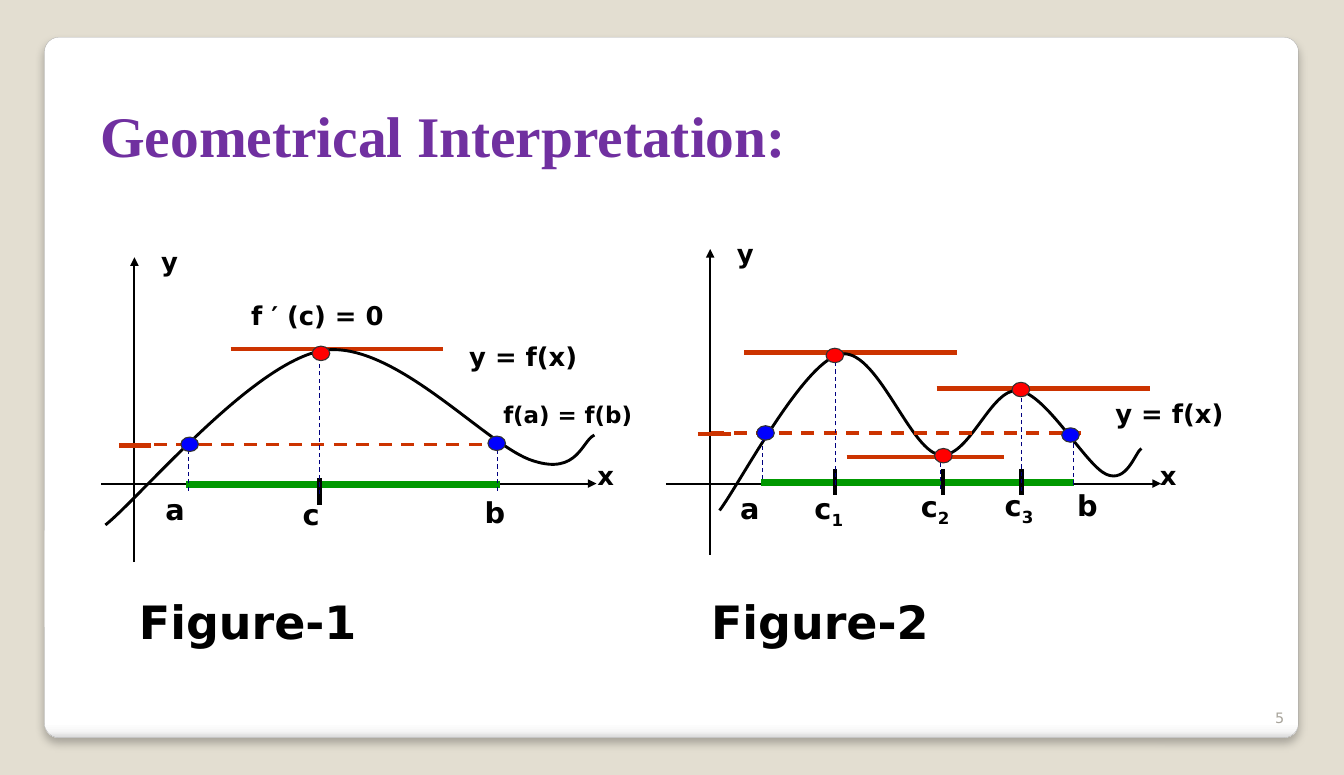
from dataclasses import dataclass

from pptx import Presentation
from pptx.dml.color import RGBColor
from pptx.enum import dml, shapes, text
from pptx.oxml import parse_xml
from pptx.oxml.ns import nsdecls, qn
from pptx.util import Inches, Pt


@dataclass(frozen=True)
class Theme:
    backdrop: str = "E3DED1"
    paper: str = "FFFFFF"
    edge: str = "A4A4A4"
    title: str = "7030A0"
    ink: str = "000000"
    number: str = "A8A49B"
    tangent: str = "CC3300"
    interval: str = "009900"
    drop: str = "000080"
    extremum: str = "FF0000"
    endpoint: str = "0000FF"
    outline: str = "323232"
    sans: str = "DejaVu Sans"
    serif: str = "Times New Roman"
    title_pt: int = 40
    caption_pt: int = 32
    point_pt: int = 20
    label_pt: int = 18
    note_pt: int = 16
    number_pt: int = 10


THEME = Theme()
DOT = (0.17, 0.14)

# Every place in a figure is in inches from the top left of its box.
ONE_EXTREMUM = {
    "x_axis": (0.08, 4.87, 2.48),
    "y_axis": (0.4, 3.24, 0.29),
    "tangents": [(1.33, 3.39, 1.18)],
    "interval": (0.9, 3.94, 2.49),
    "tick_span": (2.43, 2.69),
    "ticks": [2.19],
    "chord": (0.37, 3.96, 2.1),
    "level_mark": (0.25, 0.56, 2.11),
    "curve": [(0.12, 2.88), (0.47, 2.6), (1.55, 1.3), (2.23, 1.19),
              (2.92, 1.09), (3.82, 2.13), (4.26, 2.26),
              (4.69, 2.4), (4.73, 2.06), (4.85, 2.01)],
    "drops": [(2.19, 2.58, 1.21), (0.92, 2.55, 2.13), (3.91, 2.55, 2.13)],
    "extrema": [(2.12, 1.15)],
    "endpoints": [(0.85, 2.03), (3.82, 2.02)],
    "equation": (3.54, 1.05),
    "axis_names": [("y", 0.56, 0.13), ("x", 4.78, 2.2)],
    "points": [("a", "", 0.6, 2.51, 0.51), ("c", "", 1.93, 2.56, 1.26),
               ("b", "", 3.69, 2.54, 0.51)],
    "notes": [("f ′ (c) = 0", (1.43, 0.65, 1.56, 0.4), THEME.label_pt, False),
              ("f(a) = f(b)", (3.87, 1.63, 2.17, 0.37), THEME.note_pt, True)],
    "caption": (" Figure-1", (0.19, 3.5, 2.49, 0.64)),
}
THREE_EXTREMA = {
    "x_axis": (0.04, 4.83, 2.48),
    "y_axis": (0.47, 3.17, 0.21),
    "tangents": [(1.79, 3.31, 2.22), (2.66, 4.72, 1.56), (0.8, 2.86, 1.21)],
    "interval": (0.96, 3.99, 2.47),
    "tick_span": (2.34, 2.59),
    "ticks": [1.68, 2.72, 3.48],
    "chord": (0.48, 4.06, 1.99),
    "level_mark": (0.35, 0.67, 2.0),
    "curve": [(0.56, 2.74), (0.75, 2.49), (1.36, 1.32), (1.72, 1.23),
              (2.07, 1.14), (2.39, 2.14), (2.68, 2.2),
              (2.97, 2.26), (3.18, 1.55), (3.45, 1.58),
              (3.72, 1.61), (4.1, 2.3), (4.3, 2.39),
              (4.5, 2.48), (4.58, 2.18), (4.64, 2.14)],
    "drops": [(1.68, 2.49, 1.23), (2.7, 2.53, 2.26), (0.98, 2.44, 2.02),
              (3.98, 2.49, 2.07), (3.48, 2.55, 1.63)],
    "extrema": [(1.59, 1.17), (2.64, 2.14), (3.39, 1.5)],
    "endpoints": [(0.92, 1.92), (3.87, 1.94)],
    "equation": (4.29, 1.6),
    "axis_names": [("y", 0.63, 0.05), ("x", 4.72, 2.2)],
    "points": [("c", "1", 1.38, 2.5, 1.26), ("c", "2", 2.41, 2.48, 0.77),
               ("a", "", 0.66, 2.5, 0.51), ("b", "", 3.92, 2.47, 0.51),
               ("c", "3", 3.22, 2.47, 0.77)],
    "notes": [],
    "caption": ("Figure-2", (0.38, 3.5, 2.34, 0.64)),
}


def rgb(value):
    return RGBColor.from_string(value)


def paint(fill, color):
    fill.solid()
    fill.fore_color.rgb = rgb(color)


def stroke(line, color, width):
    line.color.rgb = rgb(color)
    line.width = Pt(width)


def write(frame, words, size, color=THEME.ink, name=THEME.sans, bold=True):
    run = frame.paragraphs[0].add_run()
    run.text = words
    for key, value in {"size": Pt(size), "name": name, "bold": bold}.items():
        setattr(run.font, key, value)
    run.font.color.rgb = rgb(color)
    return run


def add_label(slide, words, box, size, wrap=False):
    label = slide.shapes.add_textbox(*map(Inches, box))
    label.text_frame.word_wrap = wrap
    label.text_frame.auto_size = text.MSO_AUTO_SIZE.SHAPE_TO_FIT_TEXT
    write(label.text_frame, words, size)
    return label


def add_line(slide, start, end, color, width, dashed=False, arrow=False):
    line = slide.shapes.add_connector(
        shapes.MSO_CONNECTOR.STRAIGHT, *map(Inches, (*start, *end)))
    stroke(line.line, color, width)
    if dashed:
        line.line.dash_style = dml.MSO_LINE.DASH
    if arrow:
        line.line._get_or_add_ln().append(
            parse_xml(f'<a:tailEnd {nsdecls("a")} type="triangle"/>'))
    line.element.spPr.append(parse_xml(f'<a:effectLst {nsdecls("a")}/>'))


def add_curve(slide, knots):
    """Draw cubic curves: a start, then two handles and an end for each curve."""
    start, *rest = [tuple(map(Inches, knot)) for knot in knots]
    builder = slide.shapes.build_freeform(*start)
    builder.add_line_segments(rest, close=False)
    curve = builder.convert_to_shape()
    legs = list(curve.element.iter(qn("a:lnTo")))
    for first in range(0, len(legs), 3):
        cubic = parse_xml(f'<a:cubicBezTo {nsdecls("a")}/>')
        legs[first].addprevious(cubic)
        for leg in legs[first:first + 3]:
            cubic.append(leg[0])
            leg.getparent().remove(leg)
    curve.shadow.inherit = False
    curve.fill.background()
    stroke(curve.line, THEME.ink, 2)


def add_figure(slide, left, top, figure):
    def at(x, y, *size):
        return (left + x, top + y, *size)

    def level(span, color, width, **style):
        start, end, y = span
        add_line(slide, at(start, y), at(end, y), color, width, **style)

    def upright(x, start, end, color, width, **style):
        add_line(slide, at(x, start), at(x, end), color, width, **style)

    for tangent in figure["tangents"]:
        level(tangent, THEME.tangent, 3)
    level(figure["x_axis"], THEME.ink, 1.5, arrow=True)
    upright(*figure["y_axis"], THEME.ink, 1.5, arrow=True)
    for name, x, y in figure["axis_names"]:
        add_label(slide, name, at(x, y, 0.37, 0.4), THEME.label_pt)
    equation = add_label(slide, "y = f(x)", at(*figure["equation"], 1.31, 0.4),
                         THEME.label_pt)
    paint(equation.fill, THEME.paper)
    for name, index, x, y, width in figure["points"]:
        point = add_label(slide, name, at(x, y, width, 0.44), THEME.point_pt, wrap=True)
        if index:
            subscript = write(point.text_frame, index, THEME.point_pt)
            subscript._r.get_or_add_rPr().set("baseline", "-25000")

    level(figure["interval"], THEME.interval, 4.5)
    for x in figure["ticks"]:
        upright(x, *figure["tick_span"], THEME.ink, 3)
    add_curve(slide, [at(*knot) for knot in figure["curve"]])
    level(figure["chord"], THEME.tangent, 2.25, dashed=True)
    level(figure["level_mark"], THEME.tangent, 3)
    for drop in figure["drops"]:
        upright(*drop, THEME.drop, 0.75, dashed=True)
    for kind, color in (("extrema", THEME.extremum), ("endpoints", THEME.endpoint)):
        for corner in figure[kind]:
            dot = slide.shapes.add_shape(shapes.MSO_SHAPE.OVAL,
                                         *map(Inches, at(*corner, *DOT)))
            dot.shadow.inherit = False
            paint(dot.fill, color)
            stroke(dot.line, THEME.outline, 0.75)

    for words, box, size, wrap in figure["notes"]:
        add_label(slide, words, at(*box), size, wrap)
    caption, box = figure["caption"]
    add_label(slide, caption, at(*box), THEME.caption_pt)


def add_card(slide, box):
    """Lay the paper card on the slide master, behind everything."""
    card = slide.shapes.add_shape(shapes.MSO_SHAPE.ROUNDED_RECTANGLE, *map(Inches, box))
    card.adjustments[0] = 0.021
    stroke(card.line, THEME.edge, 0.16)
    stops = "".join(f'<a:gs pos="{pos}000"><a:srgbClr val="{color}"/></a:gs>' for pos, color in
                    ((0, THEME.paper), (98, THEME.paper), (99, "F7F7F7"), (100, "DADADA")))
    card.line._get_or_add_ln().addprevious(parse_xml(
        f'<a:gradFill {nsdecls("a")}><a:gsLst>{stops}</a:gsLst><a:lin ang="5400000"/></a:gradFill>'))
    card.element.spPr.append(parse_xml(
        f'<a:effectLst {nsdecls("a")}><a:outerShdw blurRad="{Pt(6)}" dist="{Pt(4)}" dir="5400000">'
        f'<a:srgbClr val="{THEME.ink}"><a:alpha val="25000"/></a:srgbClr>'
        '</a:outerShdw></a:effectLst>'))
    card.element.nvSpPr.cNvPr.set("id", "20")
    slide.slide_layout.slide_master.shapes[0].element.addprevious(card.element)


def add_title(slide, words, box):
    title = slide.shapes.title
    for key, value in zip(("left", "top", "width", "height"), box):
        setattr(title, key, Inches(value))
    frame = title.text_frame
    for key, value in {"word_wrap": True, "vertical_anchor": text.MSO_ANCHOR.TOP,
                       "auto_size": text.MSO_AUTO_SIZE.SHAPE_TO_FIT_TEXT}.items():
        setattr(frame, key, value)
    frame.paragraphs[0].alignment = text.PP_ALIGN.LEFT
    write(frame, words, THEME.title_pt, THEME.title, THEME.serif)


def add_page_number(slide, number, box):
    frame = slide.shapes.add_textbox(*map(Inches, box)).text_frame
    frame.word_wrap = True
    frame.vertical_anchor = text.MSO_ANCHOR.BOTTOM
    frame.paragraphs[0].alignment = text.PP_ALIGN.RIGHT
    write(frame, number, THEME.number_pt, THEME.number, bold=False)


def main():
    deck = Presentation()
    deck.slide_width, deck.slide_height = Inches(13), Inches(7.5)
    slide = deck.slides.add_slide(deck.slide_layouts[5])
    paint(slide.background.fill, THEME.backdrop)
    add_card(slide, (0.43, 0.36, 12.13, 6.78))
    add_title(slide, "Geometrical Interpretation:", (0.87, 0.92, 10.62, 0.77))
    add_page_number(slide, "5", (11.87, 6.68, 0.65, 0.4))
    add_figure(slide, 0.9, 2.2, ONE_EXTREMUM)
    add_figure(slide, 6.4, 2.2, THREE_EXTREMA)
    deck.save("out.pptx")


if __name__ == "__main__":
    main()
